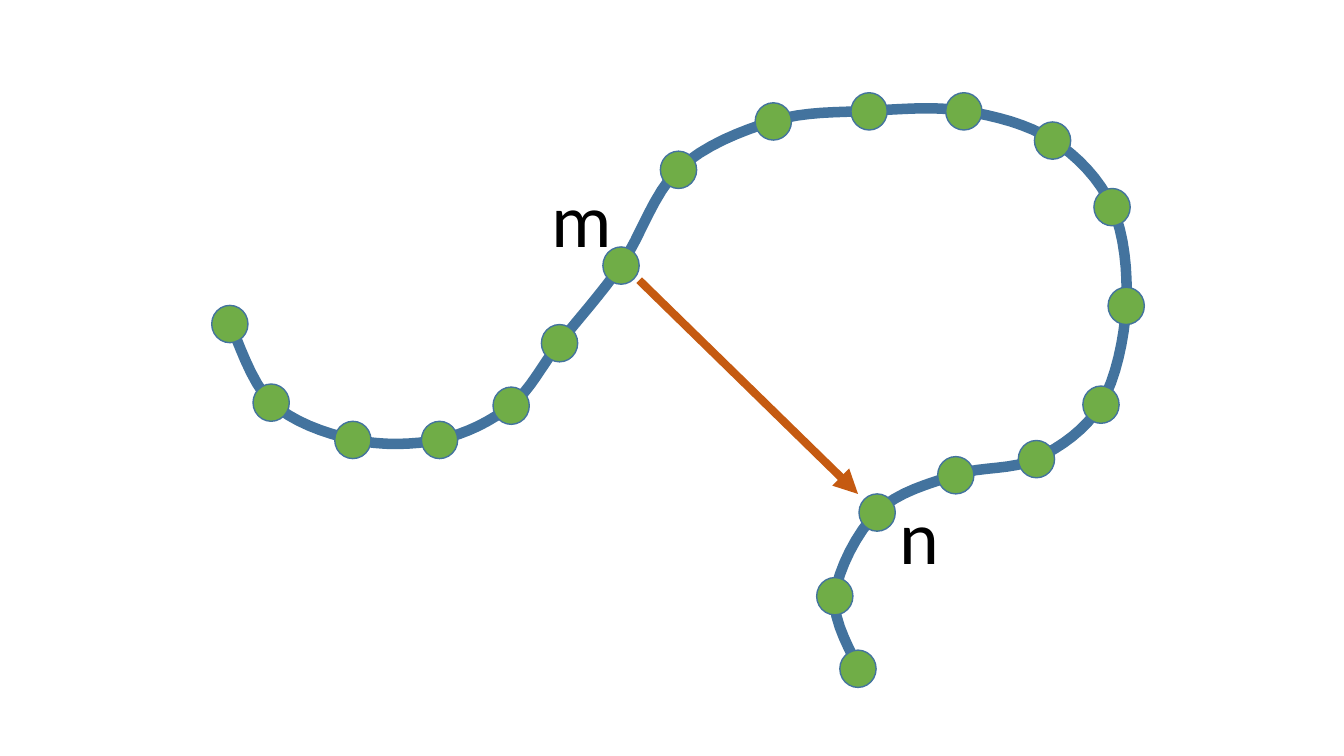
from typing import NamedTuple

from lxml import etree
from pptx import Presentation
from pptx.dml.color import RGBColor
from pptx.enum.shapes import MSO_CONNECTOR, MSO_SHAPE
from pptx.oxml.ns import qn
from pptx.shapes.shapetree import GroupShapes
from pptx.util import Emu, Pt

PX = 9144
STRAIGHT = MSO_CONNECTOR.STRAIGHT
OVAL = MSO_SHAPE.OVAL
GREEN = RGBColor(0x70, 0xAD, 0x47)
BLUE = RGBColor(0x43, 0x73, 0x9E)
ORANGE = RGBColor(0xC5, 0x5A, 0x11)
BLACK = RGBColor(0, 0, 0)
BEAD_W, BEAD_H = 36, 37
CURVE_STEPS = 8


class Point(NamedTuple):
    x: float
    y: float

    def shift(self, dx: int, dy: int) -> "Point":
        return Point(self.x + dx, self.y + dy)


class Label(NamedTuple):
    text: str
    corner: Point
    w: int
    h: int


BEAD_M = Point(616, 263)
BEAD_N = Point(870, 508)
BEFORE_M = [
    Point(228, 321), Point(269, 399), Point(350, 436),
    Point(436, 436), Point(507, 402), Point(555, 340),
]
LOOP = [
    Point(673, 168), Point(767, 120), Point(862, 110), Point(956, 110), Point(1044, 139),
    Point(1103, 205), Point(1117, 303), Point(1092, 401), Point(1028, 455), Point(948, 471),
]
AFTER_N = [Point(828, 591), Point(851, 663)]
BEADS = [*BEFORE_M, BEAD_M, *LOOP, BEAD_N, *AFTER_N]

LABELS = [
    Label("m", BEAD_M.shift(-79, -97), 61, 101),
    Label("n", BEAD_N.shift(12, -28), 66, 101),
]
ARROW_START = BEAD_M.shift(18, 15)
ARROW_END = BEAD_N.shift(-19, -18)


def px(n: float) -> Emu:
    return Emu(round(n * PX))


def spline(a: float, b: float, c: float, d: float, t: float) -> float:
    """Catmull-Rom value between b and c, with neighbours a and d."""
    linear = c - a
    square = 2 * a - 5 * b + 4 * c - d
    cube = 3 * (b - c) + d - a
    return b + (linear * t + square * t**2 + cube * t**3) / 2


def smooth_curve(knots: list[Point]) -> list[Point]:
    padded = [knots[0], *knots, knots[-1]]
    curve = [knots[0]]
    for a, b, c, d in zip(padded, padded[1:], padded[2:], padded[3:]):
        for step in range(1, CURVE_STEPS + 1):
            t = step / CURVE_STEPS
            curve.append(Point(spline(a.x, b.x, c.x, d.x, t), spline(a.y, b.y, c.y, d.y, t)))
    return curve


def add_strand(shapes: GroupShapes, beads: list[Point]) -> None:
    start, *rest = [(px(p.x), px(p.y)) for p in smooth_curve(beads)]
    builder = shapes.build_freeform(*start)
    builder.add_line_segments(rest, close=False)
    sp = builder.convert_to_shape()
    sp.shadow.inherit = False
    sp.fill.background()
    sp.line.color.rgb = BLUE
    sp.line.width = Pt(7.5)


def add_bead(shapes: GroupShapes, center: Point) -> None:
    left, top = center.shift(-(BEAD_W // 2), -(BEAD_H // 2))
    sp = shapes.add_shape(OVAL, px(left), px(top), px(BEAD_W), px(BEAD_H))
    sp.shadow.inherit = False
    sp.fill.solid()
    sp.fill.fore_color.rgb = GREEN
    sp.line.color.rgb = BLUE
    sp.line.width = Pt(1)


def add_label(shapes: GroupShapes, label: Label) -> None:
    left, top = label.corner
    sp = shapes.add_textbox(px(left), px(top), px(label.w), px(label.h))
    tf = sp.text_frame
    tf.word_wrap = True
    p = tf.paragraphs[0]
    p.text = label.text
    p.font.name = "Calibri"
    p.font.size = Pt(54)
    p.font.color.rgb = BLACK


def add_arrow(shapes: GroupShapes, start: Point, end: Point) -> None:
    sp = shapes.add_connector(STRAIGHT, px(start.x), px(start.y), px(end.x), px(end.y))
    sp.line.color.rgb = ORANGE
    sp.line.width = Pt(5.75)
    line_xml = sp._element.spPr.find(qn("a:ln"))
    etree.SubElement(line_xml, qn("a:tailEnd"), type="triangle")
    etree.SubElement(sp._element.spPr, qn("a:effectLst"))


def main() -> None:
    prs = Presentation()
    prs.slide_width, prs.slide_height = px(1333), px(750)
    s = prs.slides.add_slide(prs.slide_layouts[6])
    shapes = s.shapes.add_group_shape().shapes
    add_strand(shapes, BEADS)
    for center in BEADS:
        add_bead(shapes, center)
    for label in LABELS:
        add_label(shapes, label)
    add_arrow(shapes, ARROW_START, ARROW_END)
    prs.save("out.pptx")


if __name__ == "__main__":
    main()
